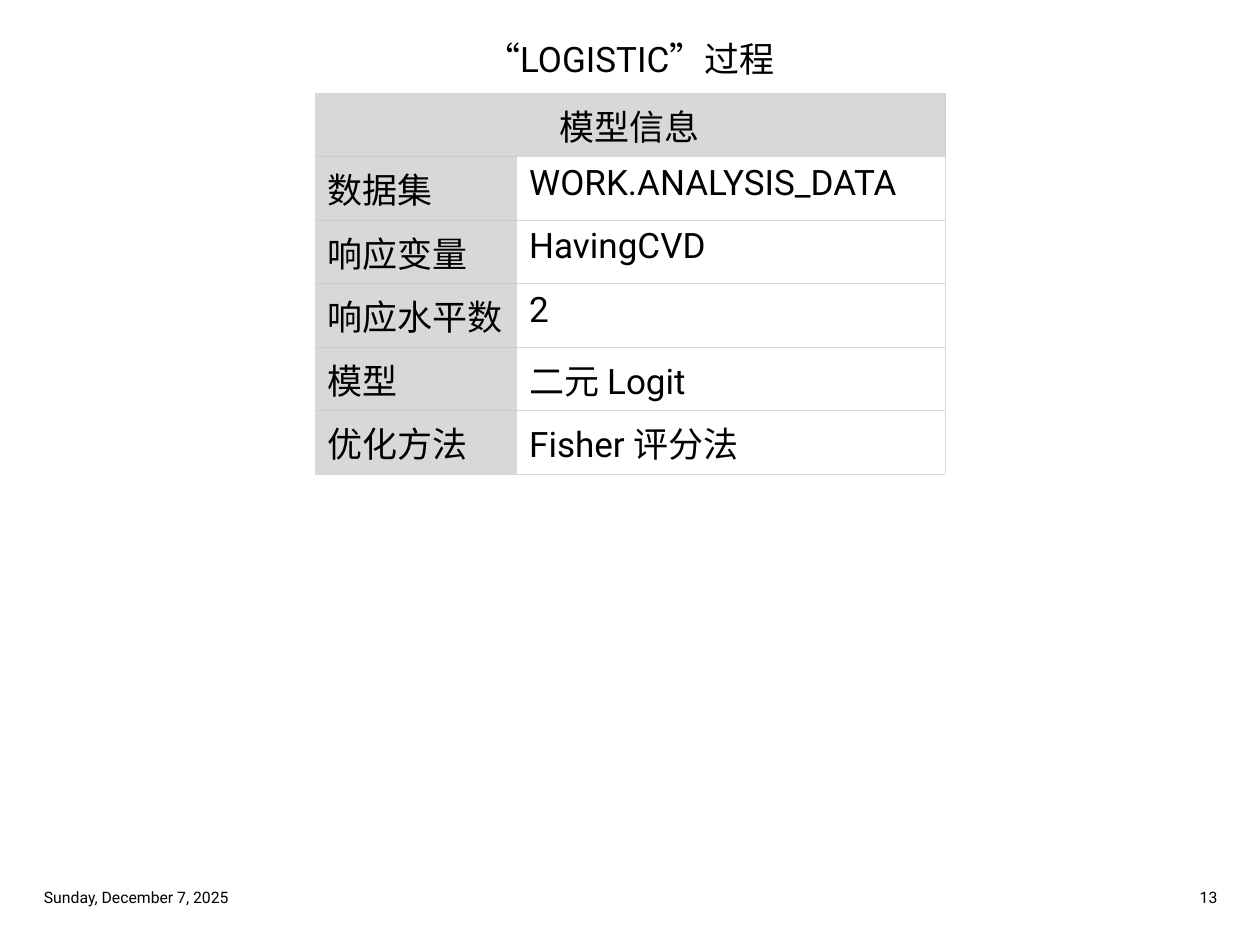
from dataclasses import dataclass
from lxml.etree import SubElement
from pptx import Presentation
from pptx.dml.color import RGBColor as RGB
from pptx.enum.text import MSO_ANCHOR as Anchor, MSO_AUTO_SIZE as Fit, PP_ALIGN as Align
from pptx.oxml.ns import qn
from pptx.util import Inches, Pt


@dataclass
class Theme:
    font: str = "Roboto"
    ink: str = "000000"
    fill: str = "D8D8D8"
    edge: str = "CCCCCC"
    body: int = 20
    foot: int = 9
    rule: float = 0.5


theme = Theme()


def write(frame, text, size, align=Align.LEFT):
    para = frame.paragraphs[0]
    para.alignment = align
    run = para.add_run()
    run.text = text
    run.font.color.rgb = RGB.from_string(theme.ink)
    for name, value in {"name": theme.font, "size": Pt(size), "bold": False}.items():
        setattr(run.font, name, value)


def rule(cell, edges):
    """Draw the cell's borders; edges gives the colour of each side."""
    props = cell._tc.get_or_add_tcPr()
    for side in "LRTB":
        line = SubElement(props, qn(f"a:ln{side}"), w=str(Pt(theme.rule)))
        SubElement(SubElement(line, qn("a:solidFill")), qn("a:srgbClr"), val=edges[side])


deck = Presentation()
deck.slide_width, deck.slide_height = Inches(10), Inches(7.5)
slide = deck.slides.add_slide(deck.slide_layouts[5])

title = slide.shapes.title
box = {"left": 0.25, "top": 0.25, "width": 9.5, "height": 0.42}
for name, value in box.items():
    setattr(title, name, Inches(value))
frame = title.text_frame
for name, value in {"word_wrap": True, "auto_size": Fit.NONE,
                    "vertical_anchor": Anchor.TOP}.items():
    setattr(frame, name, value)
write(frame, "“LOGISTIC”过程", theme.body, Align.CENTER)

rows = [
    ("模型信息", ""),
    ("数据集", "WORK.ANALYSIS_DATA"),
    ("响应变量", "HavingCVD"),
    ("响应水平数", "2"),
    ("模型", "二元 Logit"),
    ("优化方法", "Fisher 评分法"),
]
last = len(rows) - 1
high = 0.42
table = slide.shapes.add_table(len(rows), 2, Inches(2.5), Inches(0.74),
                               Inches(5), Inches(high * len(rows))).table
table.first_row = table.horz_banding = False
for col, wide in zip(table.columns, (1.6, 3.4)):
    col.width = Inches(wide)
for row in table.rows:
    row.height = Inches(high)
table.cell(0, 0).merge(table.cell(0, 1))

for r, row in enumerate(rows):
    for c, text in enumerate(row):
        cell = table.cell(r, c)
        head = r == 0
        edges = dict.fromkeys("LRTB", theme.fill)
        if head:
            edges.update(R=theme.edge, B=theme.edge)
        elif c == 0:
            edges.update(R=theme.edge, T=theme.edge)
            if r < last:
                edges["B"] = theme.edge
        rule(cell, edges)
        if head or c == 0:
            cell.fill.solid()
            cell.fill.fore_color.rgb = RGB.from_string(theme.fill)
        else:
            cell.fill.background()
        cell.vertical_anchor = Anchor.BOTTOM if head else Anchor.TOP
        if text:
            write(cell.text_frame, text, theme.body, Align.CENTER if head else Align.LEFT)

for left, text, align in [(0.25, "Sunday, December 7, 2025", Align.LEFT),
                          (7.38, "13", Align.RIGHT)]:
    foot = slide.shapes.add_textbox(Inches(left), Inches(6.99), Inches(2.38), Inches(0.26))
    foot.text_frame.word_wrap = True
    foot.text_frame.vertical_anchor = Anchor.MIDDLE
    write(foot.text_frame, text, theme.foot, align)

deck.save("out.pptx")
